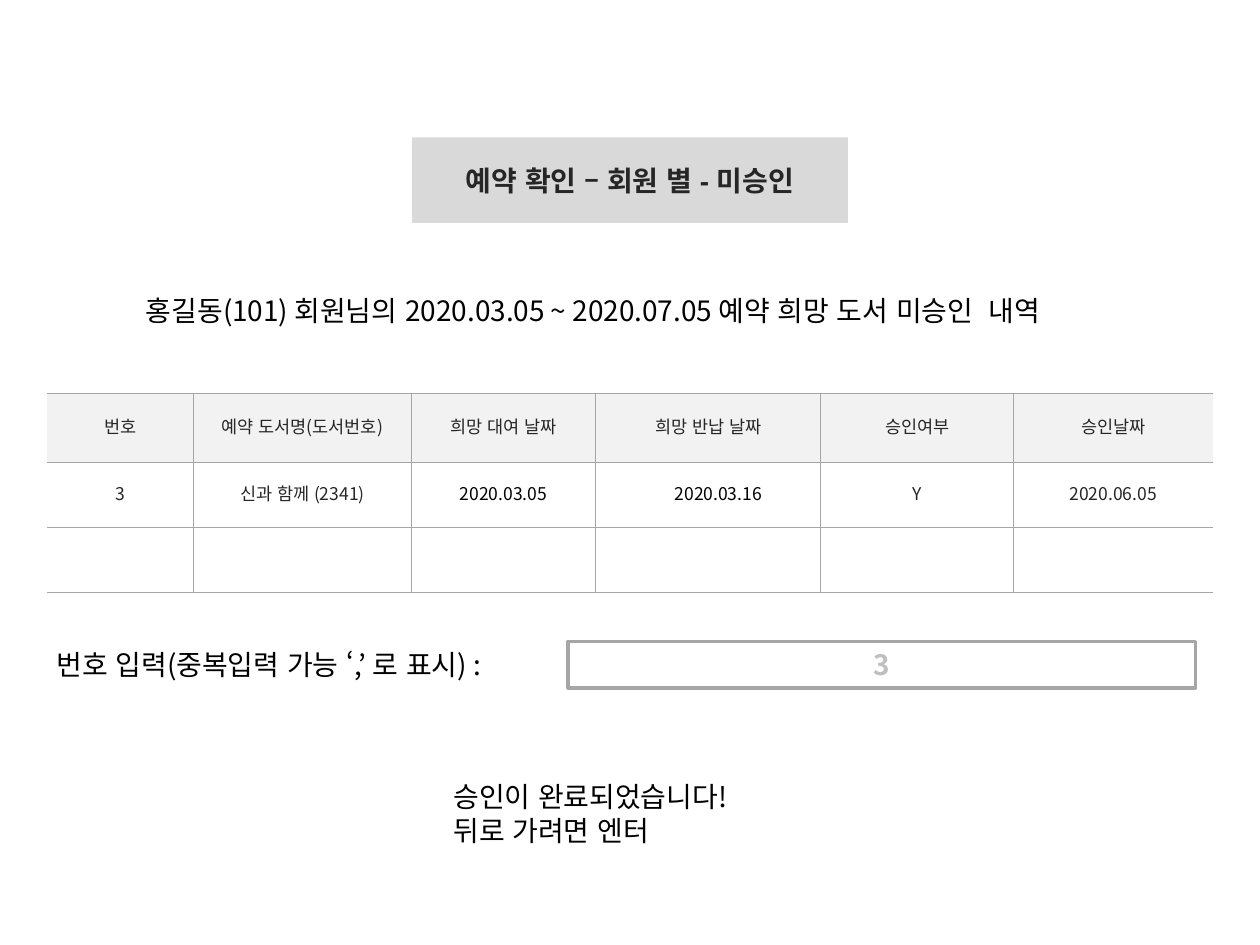
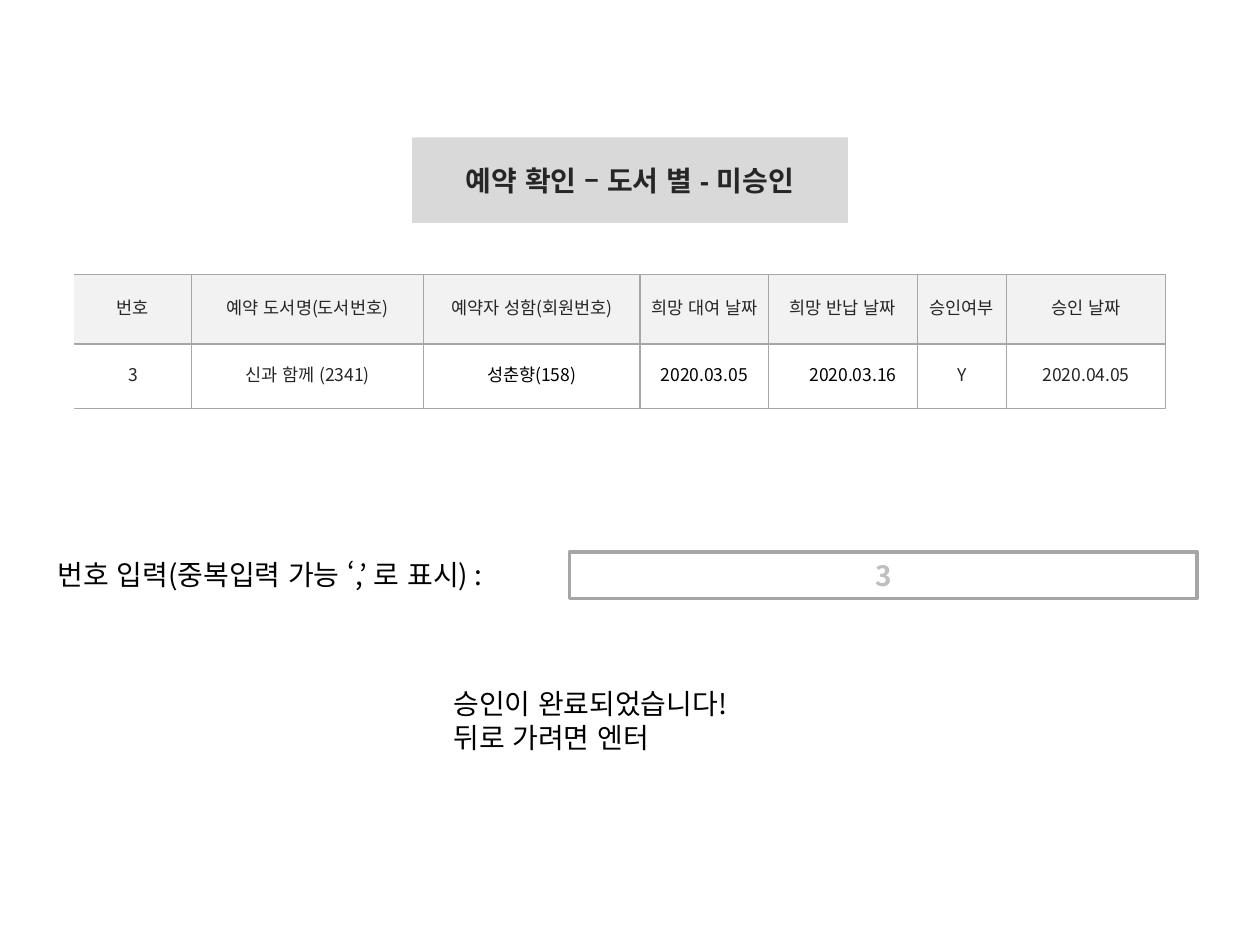
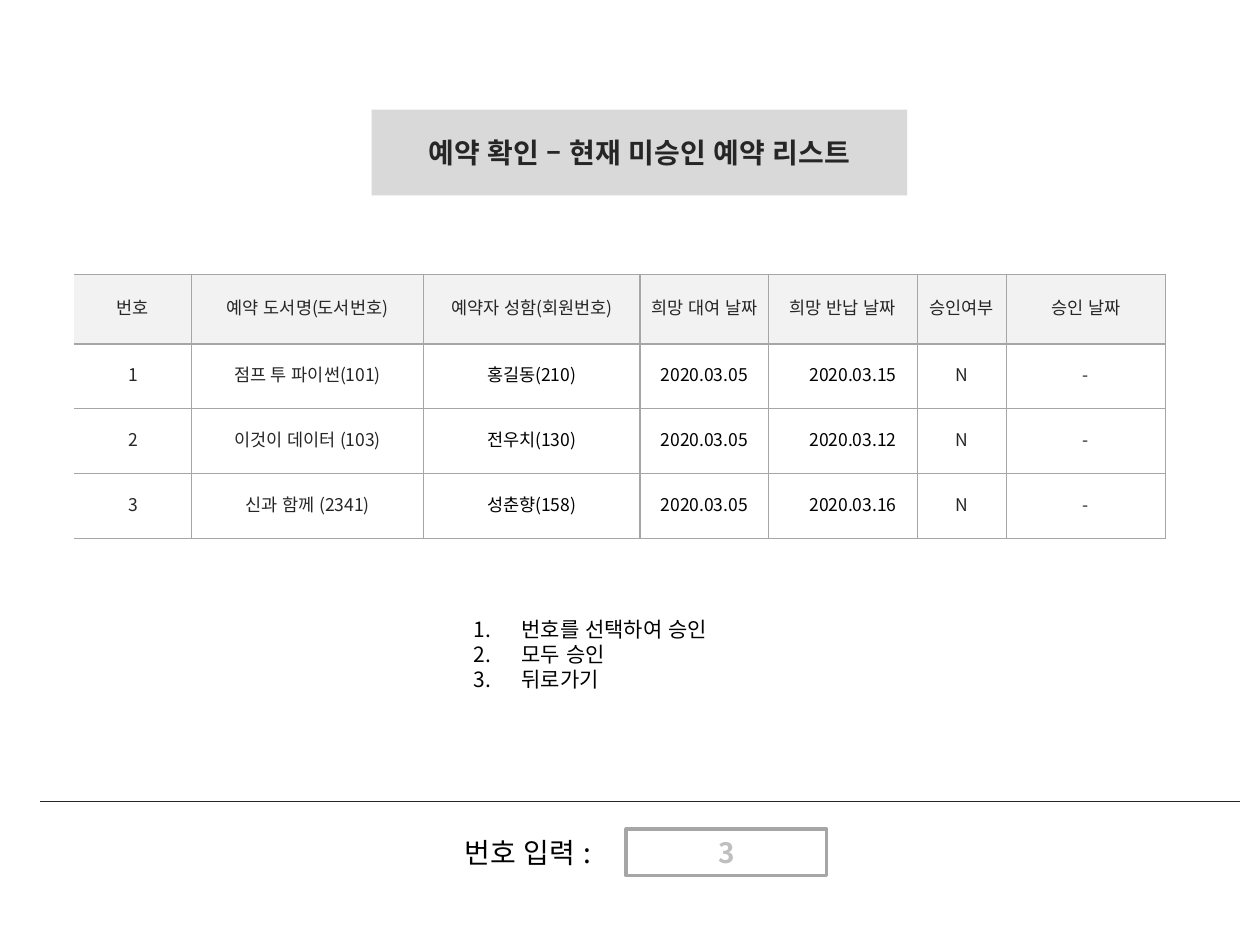
"""Build three library screens for approving book reservations."""
from lxml import etree
from pptx import Presentation
from pptx.dml.color import RGBColor
from pptx.enum.lang import MSO_LANGUAGE_ID
from pptx.enum.shapes import MSO_CONNECTOR, MSO_SHAPE
from pptx.enum.text import MSO_ANCHOR, MSO_AUTO_SIZE, PP_ALIGN
from pptx.oxml.ns import qn
from pptx.util import Inches, Pt

LEFT, CENTER = PP_ALIGN.LEFT, PP_ALIGN.CENTER
MIDDLE, TOP = MSO_ANCHOR.MIDDLE, MSO_ANCHOR.TOP
NO_FIT = MSO_AUTO_SIZE.NONE
RECT, STRAIGHT = MSO_SHAPE.RECTANGLE, MSO_CONNECTOR.STRAIGHT
KOREAN = MSO_LANGUAGE_ID.KOREAN

COLORS = {"band": "D9D9D9", "head": "F2F2F2", "rule": "A6A6A6", "entry": "BFBFBF",
          "dark": "262626", "black": "000000", "white": "FFFFFF"}
RGB = {name: RGBColor.from_string(value) for name, value in COLORS.items()}
FONT, TITLE_FONT = "Noto Sans CJK KR", "Arial"
UNIT = Inches(0.1)
HEAD_ROW, BODY_ROW = 5.5, 5.15

BORROW, RETURN = "희망 대여 날짜", "희망 반납 날짜"
MEMBER = "예약자 성함(회원번호)"
BLACK_COLUMNS = (MEMBER, BORROW, RETURN)
MEMBER_COLUMNS = {"번호": 11.6, "예약 도서명(도서번호)": 17.3, BORROW: 14.6,
                  RETURN: 17.9, "승인여부": 15.3, "승인날짜": 15.8}
BOOK_COLUMNS = {"번호": 9.3, "예약 도서명(도서번호)": 18.4, MEMBER: 17.2, BORROW: 10.2,
                RETURN: 11.8, "승인여부": 7.1, "승인 날짜": 12.6}
PROMPT = "번호 입력(중복입력 가능 ‘,’ 로 표시) :"
DONE = "승인이 완료되었습니다!\n뒤로 가려면 엔터"

SCREENS = [
    {"title": "예약 확인 – 회원 별 - 미승인", "title_at": (32.7, 10.9, 34.6, 6.8),
     "columns": MEMBER_COLUMNS, "table_at": (3.75, 31.2), "right_edge": False,
     "rows": [("3", "신과 함께 (2341)", "2020.03.05", "2020.03.16", "Y", "2020.06.05"),
              ("",) * 6],
     "labels": [("홍길동(101) 회원님의 2020.03.05 ~ 2020.07.05 예약 희망 도서 미승인  내역",
                 (10.6, 22.8, 78.9, 3.7)),
                (PROMPT, (3.5, 50.9, 48.5, 3.7)), (DONE, (35, 61.4, 25.9, 6.4))],
     "entry_at": (45.1, 50.9, 49.8, 3.7), "choices": []},
    {"title": "예약 확인 – 도서 별 - 미승인", "title_at": (32.7, 10.9, 34.6, 6.8),
     "columns": BOOK_COLUMNS, "table_at": (5.9, 21.8), "right_edge": True,
     "rows": [("3", "신과 함께 (2341)", "성춘향(158)", "2020.03.05", "2020.03.16", "Y",
               "2020.04.05")],
     "labels": [(PROMPT, (3.6, 43.8, 48.5, 3.7)), (DONE, (35, 54, 25.9, 6.4))],
     "entry_at": (45.2, 43.8, 49.8, 3.7), "choices": []},
    {"title": "예약 확인 – 현재 미승인 예약 리스트", "title_at": (29.5, 8.7, 42.5, 6.8),
     "columns": BOOK_COLUMNS, "table_at": (5.9, 21.8), "right_edge": True,
     "rows": [("1", "점프 투 파이썬(101)", "홍길동(210)", "2020.03.05", "2020.03.15", "N", "-"),
              ("2", "이것이 데이터 (103)", "전우치(130)", "2020.03.05", "2020.03.12", "N", "-"),
              ("3", "신과 함께 (2341)", "성춘향(158)", "2020.03.05", "2020.03.16", "N", "-")],
     "labels": [("번호 입력 :", (35.9, 65.8, 13.9, 3.7))],
     "entry_at": (49.7, 65.8, 15.9, 3.7),
     "choices": ["번호를 선택하여 승인", "모두 승인", "뒤로가기"]},
]


def grid(*cells):
    """Turn counts of grid units into lengths."""
    return [round(n * UNIT) for n in cells]


def style(tf, size, color, align=LEFT, anchor=TOP, bold=False, font=FONT):
    """Format every paragraph and run of a text frame."""
    tf.word_wrap = True
    tf.vertical_anchor = anchor
    for p in tf.paragraphs:
        p.alignment = align
        p.space_before = Pt(0)
        p.line_spacing = Pt(size * 1.2)
        for r in p.runs:
            r.font.size, r.font.bold, r.font.name = Pt(size), bold, font
            r.font.color.rgb = RGB[color]
            r.font.language_id = KOREAN
            latin = r.font._element.find(qn("a:latin"))
            ea = etree.Element(qn("a:ea"), typeface=FONT)
            latin.addnext(ea)


prs = Presentation()
prs.slide_width, prs.slide_height = grid(100, 75)

for screen in SCREENS:
    choices = screen["choices"]
    s = prs.slides.add_slide(prs.slide_layouts[1 if choices else 5])

    title = s.shapes.title
    title.left, title.top, title.width, title.height = grid(*screen["title_at"])
    title.fill.solid()
    title.fill.fore_color.rgb = RGB["band"]
    title.text_frame.text = screen["title"]
    title.text_frame.auto_size = NO_FIT
    style(title.text_frame, 16, "dark", CENTER, MIDDLE, True, TITLE_FONT)

    columns = screen["columns"]
    rows = [tuple(columns)] + screen["rows"]
    size = (sum(columns.values()), HEAD_ROW + BODY_ROW * len(screen["rows"]))
    table = s.shapes.add_table(len(rows), len(columns),
                               *grid(*screen["table_at"], *size)).table
    table.first_row = table.horz_banding = False
    for column, width in zip(table.columns, columns.values()):
        column.width = grid(width)[0]
    for i, row in enumerate(rows):
        table.rows[i].height = grid(BODY_ROW if i else HEAD_ROW)[0]
        for j, (header, text) in enumerate(zip(columns, row)):
            cell = table.cell(i, j)
            cell.margin_left = cell.margin_right = cell.margin_top = cell.margin_bottom = 0
            if i and header == RETURN:
                cell.margin_left = Inches(0.16)
            cell.text_frame.text = text
            style(cell.text_frame, 10, "black" if i and header in BLACK_COLUMNS else "dark",
                  CENTER)
            cell.vertical_anchor = MIDDLE
            shown = {"L": j > 0, "R": j < len(columns) - 1 or screen["right_edge"],
                     "T": True, "B": True}
            tcPr = cell._tc.get_or_add_tcPr()
            for side, visible in shown.items():
                ln = etree.SubElement(tcPr, qn("a:ln" + side), w=str(Pt(0.75)))
                if visible:
                    fill = etree.SubElement(ln, qn("a:solidFill"))
                    etree.SubElement(fill, qn("a:srgbClr"), val=COLORS["rule"])
                else:
                    etree.SubElement(ln, qn("a:noFill"))
            cell.fill.solid()
            cell.fill.fore_color.rgb = RGB["white" if i else "head"]

    for text, place in screen["labels"]:
        tf = s.shapes.add_textbox(*grid(*place)).text_frame
        tf.text = text
        style(tf, 16, "black")

    entry = s.shapes.add_shape(RECT, *grid(*screen["entry_at"]))
    entry.shadow.inherit = False
    entry.fill.solid()
    entry.fill.fore_color.rgb = RGB["white"]
    entry.line.color.rgb = RGB["rule"]
    entry.line.width = Pt(2)
    entry.text_frame.text = "3"
    style(entry.text_frame, 16, "entry", CENTER, MIDDLE, True)

    if choices:
        body = s.placeholders[1]
        body.left, body.top, body.width, body.height = grid(36.6, 48.4, 22.1, 9.1)
        tf = body.text_frame
        tf.text = "\n".join(choices)
        tf.auto_size = NO_FIT
        style(tf, 12, "black")
        for p in tf.paragraphs:
            pPr = p._p.get_or_add_pPr()
            pPr.set("marL", str(Inches(0.38)))
            pPr.set("indent", str(-Inches(0.38)))
            etree.SubElement(pPr, qn("a:buFont"), typeface="+mj-lt")
            etree.SubElement(pPr, qn("a:buAutoNum"), type="arabicPeriod")

        divider = s.shapes.add_connector(STRAIGHT, *grid(3.2, 63.6, 98.4, 63.6))
        divider.line.color.rgb = RGB["dark"]
        divider.line.width = Pt(0.75)
        etree.SubElement(divider._element.spPr, qn("a:effectLst"))

prs.save("out.pptx")
